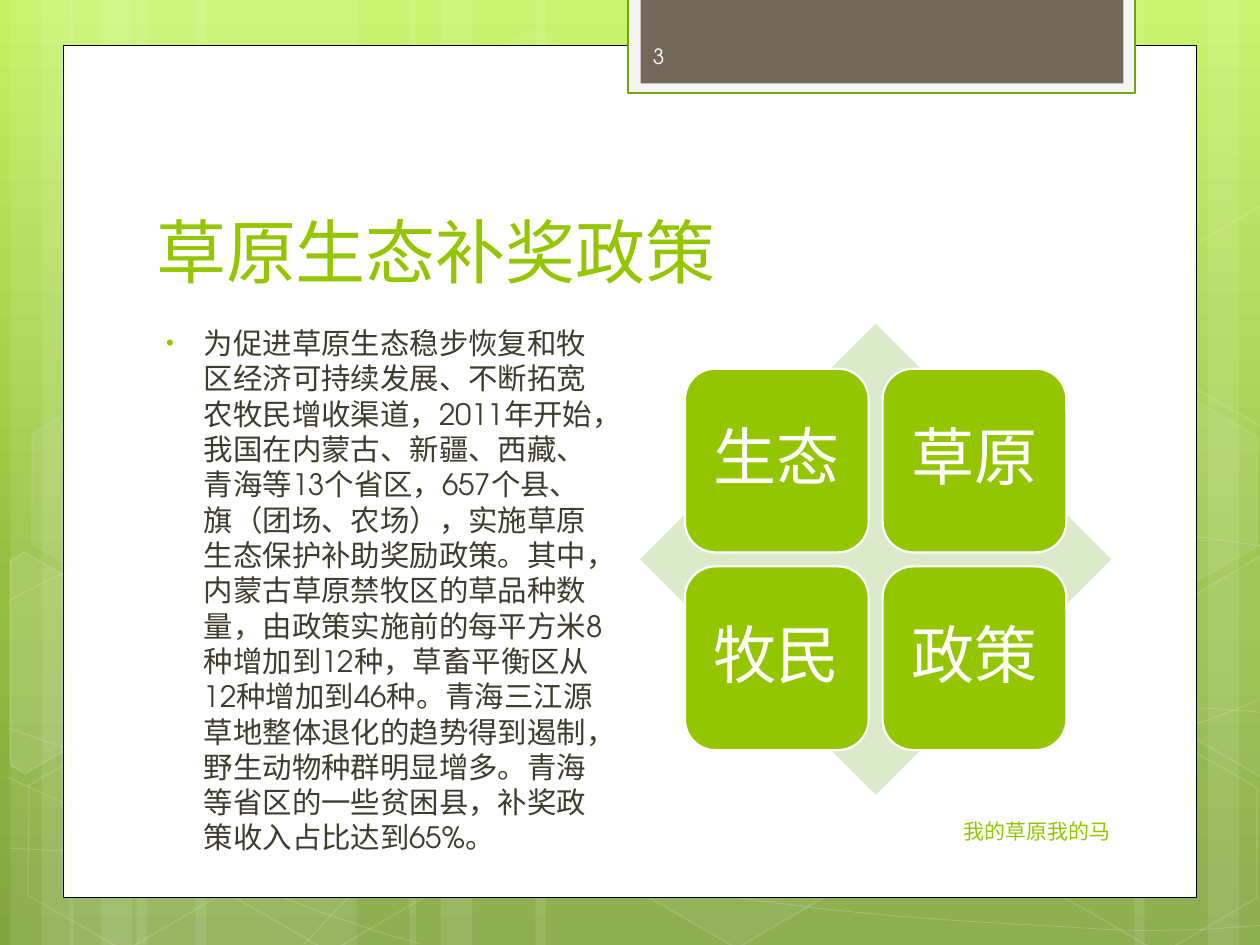
"""Build the grassland subsidy policy slide."""
import math
from copy import deepcopy
from lxml import etree
from pptx import Presentation
from pptx import util as u
from pptx.dml.color import RGBColor
from pptx.enum import shapes, text
from pptx.oxml.ns import qn

FONT = "TeX Gyre Adventor"
GREEN, WHITE = "94C600", "FFFFFF"
TITLE = "草原生态补奖政策"
BODY = (
    "为促进草原生态稳步恢复和牧区经济可持续发展、不断拓宽农牧民增收渠道，2011年开始，"
    "我国在内蒙古、新疆、西藏、青海等13个省区，657个县、旗（团场、农场），实施草原生态保护补助奖励政策。"
    "其中，内蒙古草原禁牧区的草品种数量，由政策实施前的每平方米8种增加到12种，草畜平衡区从12种增加到46种。"
    "青海三江源草地整体退化的趋势得到遏制，野生动物种群明显增多。"
    "青海等省区的一些贫困县，补奖政策收入占比达到65%。"
)
FOOTER, NUMBER = "我的草原我的马", "3"
CARDS = [["生态", "草原"], ["牧民", "政策"]]
STOPS = [(0, "C3F35F"), (0.62, "93BF3F"), (1, "81A53E")]
BARS = [
    (78, 126, 0), (6, 36, 0), (24, 60, 0), (111.6, 126, 0), (39.6, 36, 0), (57.6, 60, 0),
    (528, 126, 180), (690, 36, 180), (648, 60, 180), (306, 222, 0), (234, 36, 0), (252, 60, 0),
]
CURVES = [
    [(5, 484.6), (43.9, 486.7), (82.8, 488.9), (136.8, 488.2), (190.8, 487.4),
     (257.8, 486), (329.8, 478.8), (401.8, 471.6), (504, 457.9), (570.2, 444.2),
     (635.8, 430.6), (703.4, 409), (725, 396.7)],
    [(5, 343.4), (25.9, 331.9), (46.8, 321.1), (87.1, 310.3), (128.2, 299.5),
     (186.5, 283.7), (249.8, 278.6), (313.9, 273.6), (391.7, 272.9), (470.9, 278.6),
     (550.1, 284.4), (681.8, 306.7), (725, 312.5)],
    [(4.3, 444.2), (91.4, 483.8), (177.8, 523.4), (240.5, 539.3)],
    [(5, 416.2), (27.4, 424.1), (50.4, 432), (92.2, 443.5), (133.9, 454.3),
     (196.6, 472.3), (257, 484.6), (316.8, 496.8), (392.4, 509.8), (452.2, 517),
     (511.9, 524.9), (576, 527.8), (614.2, 529.9), (651.6, 532.8), (661.7, 531.4),
     (680.4, 531.4), (699.1, 530.6), (712.1, 529.2), (725, 528.5)],
    [(174.2, 539.3), (187.2, 524.9), (200.2, 510.5), (217.4, 497.5), (234.7, 484.6),
     (259.2, 470.2), (279.4, 460.1), (299.5, 450), (311.8, 445.7), (338.4, 438.5),
     (364.3, 431.3), (412.6, 421.2), (437.8, 416.2), (463.7, 411.1), (467.3, 411.1),
     (489.6, 409.7), (511.9, 407.5), (547.2, 405.4), (571.7, 404.6), (596.9, 403.9),
     (637.9, 404.6), (637.9, 404.6), *[(686.2, 404.6)] * 3,
     (699.1, 405.4), (711.4, 406.1), (717.8, 406.8), (724.3, 407.5), (722.2, 406.8),
     (724.3, 407.5)],
]
HEXES = [
    (240.5, 26, 4, 8), (357.8, 424, 6, 12), (8, 425.5, 0, 12), (10, 224.6, 7, 8),
    (125.3, 426.2, 0, 12), (542.2, 326.2, 10, 12), (600.5, 427, 0, 12), (600.5, 226, 7, 8),
]
EDGES = [
    ((25.9, 385.2), [(5.8, 320.4), (13.7, 315.4), (69.1, 347), (68.4, 410.4), (14.4, 442),
                     (5.8, 437)], 10),
    ((709.2, 374.4), [(666.7, 349.2), (720.7, 317.5), (726.5, 321.1), (726.5, 441.4),
                      (721.4, 444.2), (666.7, 412.6)], 4),
    ((709.2, 173.5), [(666.7, 149), (720.7, 117.4), (727, 121), (726.5, 241.2),
                      (721.4, 244), (666.7, 212.4)], 0),
]


def rgb(code):
    return RGBColor.from_string(code)


def fade(node, alpha):
    color = node.find(qn("a:solidFill")).find(qn("a:srgbClr"))
    etree.SubElement(color, qn("a:alpha"), val=str(alpha * 1000))


def style(shape, fill=None, line=None, width=1, clear=0, faint=0):
    shape.shadow.inherit = False
    spot = shape._element.spPr
    if fill:
        shape.fill.solid()
        shape.fill.fore_color.rgb = rgb(fill)
        if clear:
            fade(spot, clear)
    else:
        shape.fill.background()
    if line:
        shape.line.color.rgb = rgb(line)
        shape.line.width = u.Pt(width)
        if faint:
            fade(spot.find(qn("a:ln")), faint)
    else:
        shape.line.fill.background()
    return shape


def add(slide, kind, box, **look):
    form = getattr(shapes.MSO_SHAPE, kind)
    return style(slide.shapes.add_shape(form, *map(u.Pt, box)), **look)


def trace(slide, points, close, **look):
    spots = [(u.Pt(x), u.Pt(y)) for x, y in points]
    pen = slide.shapes.build_freeform(*spots[0])
    pen.add_line_segments(spots[1:], close=close)
    return style(pen.convert_to_shape(), **look)


def bend(shape, knots):
    lines = list(shape._element.iter(qn("a:lnTo")))
    for i in range(0, len(lines), 3):
        trio = lines[i:i + 3]
        if len(set(knots[i + 1:i + 4])) > 1:
            curve = etree.Element(qn("a:cubicBezTo"))
            trio[0].addprevious(curve)
            curve.extend([line[0] for line in trio])
        else:
            trio = trio[1:]
        for line in trio:
            line.getparent().remove(line)


def turn(points, mid, angle):
    cos, sin = math.cos(math.radians(angle)), math.sin(math.radians(angle))
    gaps = [(x - mid[0], y - mid[1]) for x, y in points]
    return [(mid[0] + x * cos - y * sin, mid[1] + x * sin + y * cos) for x, y in gaps]


def write(shape, words, size, color, anchor="MIDDLE", align="LEFT"):
    frame = shape.text_frame
    frame.word_wrap = True
    frame.auto_size = text.MSO_AUTO_SIZE.NONE
    frame.vertical_anchor = getattr(text.MSO_ANCHOR, anchor)
    para = frame.paragraphs[0]
    para.text = words
    para.alignment = getattr(text.PP_ALIGN, align)
    para.font.name, para.font.size = FONT, u.Pt(size)
    para.font.color.rgb = rgb(color)
    return para


def label(slide, box, *args, **opts):
    return write(slide.shapes.add_textbox(*map(u.Pt, box)), *args, **opts)


def bullet(para):
    prop = para._p.get_or_add_pPr()
    prop.set("marL", str(u.Pt(27.4)))
    prop.set("indent", str(u.Pt(-21.6)))
    marks = [etree.Element(qn("a:buClr")), etree.Element(qn("a:buSzPct"), val="76000"),
             etree.Element(qn("a:buFont"), typeface="Arial"),
             etree.Element(qn("a:buChar"), char="•")]
    etree.SubElement(marks[0], qn("a:srgbClr"), val=GREEN)
    for i, mark in enumerate(marks):
        prop.insert(i, mark)


def backdrop(slide):
    fill = slide.background.fill
    fill.gradient()
    fill.gradient_angle = 270
    stops = next(slide._element.iter(qn("a:gsLst")))
    stops.append(deepcopy(stops[-1]))
    for stop, (place, color) in zip(fill.gradient_stops, STOPS):
        stop.position = place
        stop.color.rgb = rgb(color)
    for x, w, angle in BARS:
        add(slide, "RECTANGLE", (x, 0, w, 540), fill=WHITE, clear=10).rotation = angle
    for knots in CURVES:
        bend(trace(slide, knots, False, line=WHITE, width=0.5, faint=20), knots)
    for x, y, clear, faint in HEXES:
        cell = add(slide, "HEXAGON", (x, y, 126, 109.4), fill=WHITE if clear else None,
                   clear=clear, line=WHITE, faint=faint)
        cell.adjustments[0], cell.adjustments[1] = 0.285, 1.155
        cell.rotation = 30
    for mid, points, clear in EDGES:
        edge = trace(slide, turn(points, mid, -30), True, fill=WHITE if clear else None,
                     clear=clear, line=WHITE, faint=12)
        edge.rotation = 30
    add(slide, "RECTANGLE", (36, 26, 648, 487), fill=WHITE, line="000000", width=0.5)
    add(slide, "RECTANGLE", (359, -1.4, 289.6, 54.7), fill="F5F5F5", line="74A510", width=1.25)
    add(slide, "RECTANGLE", (366, -1.4, 276, 49), fill="71685A")


def matrix(slide):
    add(slide, "DIAMOND", (365.8, 185, 269.3, 269.3), fill="DCEACC")
    for r, row in enumerate(CARDS):
        for c, word in enumerate(row):
            box = (391.4 + 113 * c, 210.7 + 113 * r, 105, 105)
            card = add(slide, "ROUNDED_RECTANGLE", box, fill=GREEN, line=WHITE, width=1.25)
            para = write(card, word, 36, WHITE, align="CENTER")
            para.line_spacing = 0.9


def main():
    deck = Presentation()
    deck.slide_width, deck.slide_height = u.Pt(720), u.Pt(540)
    slide = deck.slides.add_slide(deck.slide_layouts[5])
    backdrop(slide)
    title = slide.shapes.title
    slide.shapes._spTree.append(title._element)
    title.left, title.top, title.width, title.height = map(u.Pt, (82, 80.6, 553, 90))
    write(title, TITLE, 40, GREEN, anchor="BOTTOM")
    label(slide, (365.8, 460.6, 275.8, 28.8), FOOTER, 12, GREEN, align="RIGHT")
    label(slide, (366, 17.7, 105, 28.8), NUMBER, 12, "FEFEFE")
    bullet(label(slide, (82, 182.2, 269.3, 275), BODY, 16.8, "3E3D2D", anchor="TOP"))
    matrix(slide)
    deck.save("out.pptx")


if __name__ == "__main__":
    main()
